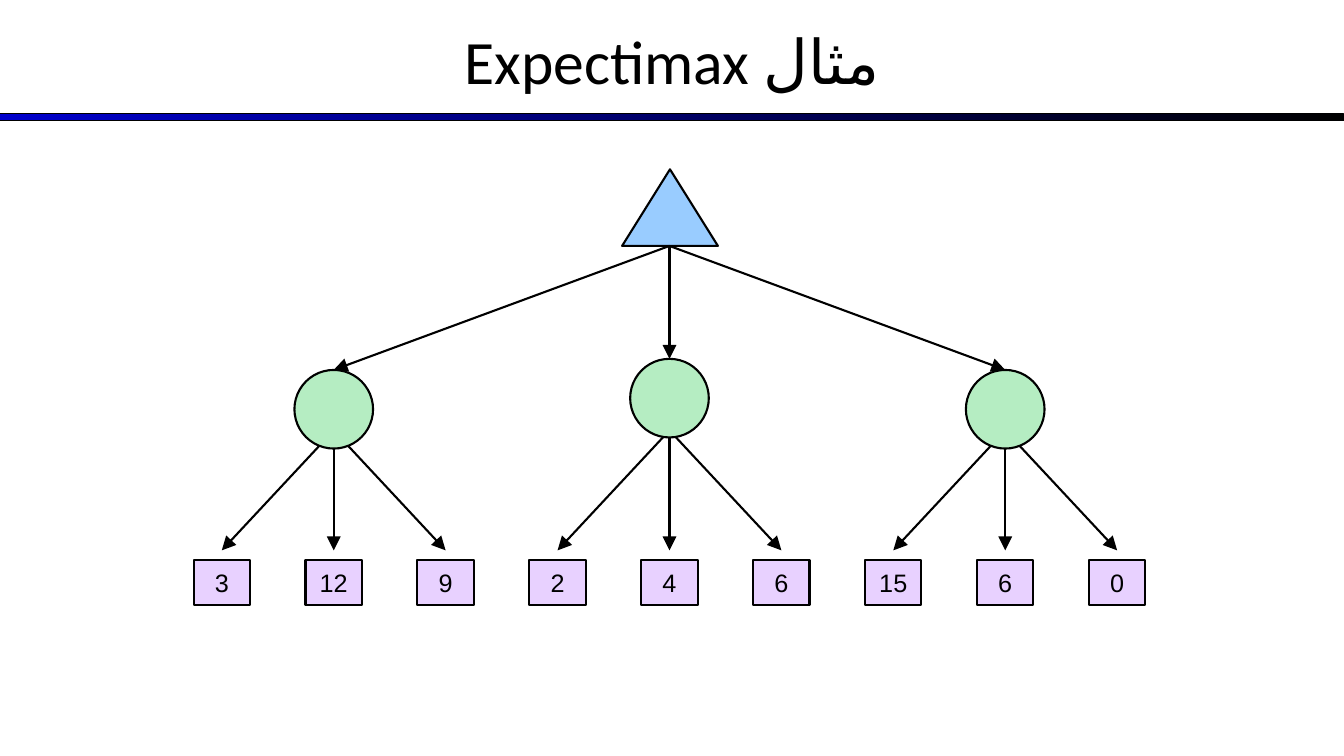
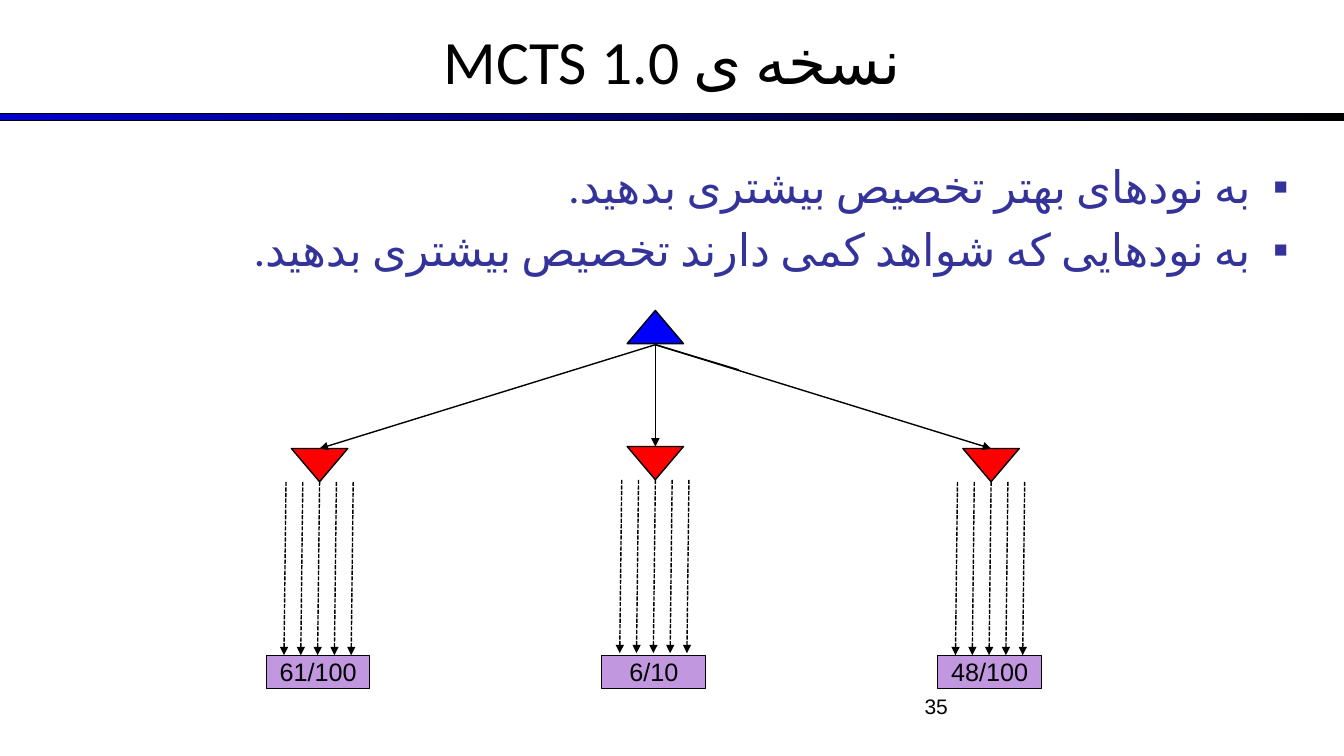
from lxml import etree
from pptx import Presentation
from pptx.dml.color import RGBColor
from pptx.enum import dml, shapes, text
from pptx.oxml import ns
from pptx.util import Inches, Pt

COLORS = {
    "black": "000000",
    "band": "0000CC",
    "body": "333399",
    "max_node": "99CCFF",
    "chance_node": "B5EDC2",
    "leaf": "E8D1FF",
    "root": "0000FF",
    "min_node": "FF0000",
    "score": "C198E0",
}
PRESET = shapes.MSO_SHAPE
ALIGN = text.PP_ALIGN
BRANCH_GAP = 3.33


def rgb(name):
    """Return the named palette colour."""
    return RGBColor.from_string(COLORS[name])


def add_xml(parent, tag, **attributes):
    """Append a DrawingML element to a parent."""
    return etree.SubElement(parent, ns.qn(tag), attributes)


def style_paragraph(paragraph, size, font="Arial", color="black", align=ALIGN.CENTER):
    """Set the alignment and font of a paragraph."""
    paragraph.alignment = align
    paragraph.font.size = Pt(size)
    paragraph.font.name = font
    paragraph.font.color.rgb = rgb(color)


def style_rtl(paragraph, size, color, align):
    """Style a right-to-left Persian paragraph."""
    paragraph._p.get_or_add_pPr().set("rtl", "1")
    style_paragraph(paragraph, size, "Calibri", color, align)
    for run in paragraph.runs:
        properties = run._r.get_or_add_rPr()
        properties.set("lang", "fa-IR")
        add_xml(properties, "a:cs", typeface="Calibri")


def add_node(slide, preset, left, top, width, height, color, line=1.5, label="", flip=False):
    """Draw an outlined shape with an optional centred label."""
    shape = slide.shapes.add_shape(
        preset, Inches(left), Inches(top), Inches(width), Inches(height))
    shape.shadow.inherit = False
    shape.fill.solid()
    shape.fill.fore_color.rgb = rgb(color)
    shape.line.color.rgb = rgb("black")
    shape.line.width = Pt(line)
    if flip:
        shape._element.spPr.xfrm.set("flipV", "1")
    if label:
        frame = shape.text_frame
        frame.word_wrap = False
        frame.vertical_anchor = text.MSO_ANCHOR.MIDDLE
        frame.text = label
        style_paragraph(frame.paragraphs[0], 18)
    return shape


def add_edge(slide, start, end, width=1.5, arrow="med", dashed=False):
    """Draw a straight edge, with an arrowhead of the given size if any."""
    connector = slide.shapes.add_connector(
        shapes.MSO_CONNECTOR.STRAIGHT, *(Inches(value) for value in (*start, *end)))
    connector.line.color.rgb = rgb("black")
    connector.line.width = Pt(width)
    if dashed:
        connector.line.dash_style = dml.MSO_LINE.SQUARE_DOT
    if arrow:
        add_xml(connector.line._get_or_add_ln(), "a:tailEnd",
                type="triangle", w=arrow, len=arrow)
    add_xml(connector._element.spPr, "a:effectLst")


def add_text_box(slide, left, top, width, height, lines):
    """Place a wrapping text box holding one paragraph per line."""
    box = slide.shapes.add_textbox(
        Inches(left), Inches(top), Inches(width), Inches(height))
    frame = box.text_frame
    frame.word_wrap = True
    frame.text = "\n".join(lines)
    return frame


def add_titled_slide(presentation, title):
    """Add a slide with the gradient band and a centred title."""
    slide = presentation.slides.add_slide(presentation.slide_layouts[6])
    band = add_node(slide, PRESET.RECTANGLE, 0, 1.13, 13.33, 0.07, "band", 0.75)
    band.fill.gradient()
    band.fill.gradient_angle = 0
    for stop, color in zip(band.fill.gradient_stops, ("band", "black")):
        stop.color.rgb = rgb(color)
    frame = add_text_box(slide, 0, -0.03, 13.33, 1.25, [title])
    frame.vertical_anchor = text.MSO_ANCHOR.MIDDLE
    style_rtl(frame.paragraphs[0], 44, "black", ALIGN.CENTER)
    return slide


def add_bullets(slide, left, top, width, height, lines):
    """Place a right-to-left bulleted list."""
    frame = add_text_box(slide, left, top, width, height, lines)
    for index, paragraph in enumerate(frame.paragraphs):
        properties = paragraph._p.get_or_add_pPr()
        properties.set("marL", str(Inches(0.37)))
        properties.set("indent", str(Inches(-0.37)))
        if index:
            paragraph.space_before = Pt(6.4)
        add_xml(add_xml(properties, "a:buClr"), "a:srgbClr", val=COLORS["body"])
        add_xml(properties, "a:buFont", typeface="Arial")
        add_xml(properties, "a:buChar", char="▪")
        style_rtl(paragraph, 32, "body", ALIGN.RIGHT)


def add_expectimax_tree(slide, center, top, groups):
    """Draw a max root, its chance nodes and their leaf values."""
    root = (center, top + 0.76)
    add_node(slide, PRESET.ISOSCELES_TRIANGLE, center - 0.47, top, 0.95, 0.76, "max_node")
    for branch, values in enumerate(groups, -1):
        x = center + branch * BRANCH_GAP
        node_top = top + (1.99 if branch else 1.88)
        add_edge(slide, root, (x, node_top), arrow="lg")
        for position, value in enumerate(values, -1):
            leaf = x + position * 1.11
            add_edge(slide, (x, top + 2.59), (leaf, top + 3.78), arrow="lg")
            add_node(slide, PRESET.RECTANGLE, leaf - 0.28, top + 3.88, 0.56, 0.44,
                     "leaf", label=value)
        add_node(slide, PRESET.OVAL, x - 0.39, node_top, 0.78, 0.78, "chance_node")


def add_rollout_tree(slide, center, top, scores):
    """Draw a root, its min nodes, dashed rollouts and score boxes."""
    root = (center, top + 0.34)
    add_node(slide, PRESET.ISOSCELES_TRIANGLE, center - 0.28, top, 0.56, 0.33, "root", 1)
    for branch, score in enumerate(scores, -1):
        x = center + branch * BRANCH_GAP
        node_top = top + (1.37 if branch else 1.35)
        add_node(slide, PRESET.ISOSCELES_TRIANGLE, x - 0.28, node_top, 0.56, 0.33,
                 "min_node", 1, flip=True)
        add_edge(slide, root, (x, node_top), 1)
        add_node(slide, PRESET.RECTANGLE, x - 0.53, top + 3.42, 1.03, 0.33,
                 "score", 0.75, score)
        for rollout in range(-2, 3):
            start = x + rollout / 6
            add_edge(slide, (start, node_top + 0.33), (start - 0.02, node_top + 2.05),
                     1, dashed=True)
    for end in ((center, top + 0.67), (center + 0.83, top + 0.59)):
        add_edge(slide, root, end, 1, arrow=None)


def add_page_number(slide, left, top, width, height, number):
    """Place the right-aligned page number."""
    frame = add_text_box(slide, left, top, width, height, [number])
    style_paragraph(frame.paragraphs[0], 15, align=ALIGN.RIGHT)


def main():
    """Build and save the presentation."""
    presentation = Presentation()
    presentation.slide_width = Inches(13.33)
    presentation.slide_height = Inches(7.5)

    slide = add_titled_slide(presentation, "مثال Expectimax")
    add_expectimax_tree(slide, 6.64, 1.68,
                        [("3", "12", "9"), ("2", "4", "6"), ("15", "6", "0")])

    slide = add_titled_slide(presentation, "نسخه ی 1.0 MCTS")
    add_bullets(slide, 0.44, 1.53, 12.44, 1.39, [
        "به نودهای بهتر تخصیص بیشتری بدهید.",
        "به نودهایی که شواهد کمی دارند تخصیص بیشتری بدهید.",
    ])
    add_rollout_tree(slide, 6.5, 3.08, ["61/100", "6/10", "48/100"])
    add_page_number(slide, 7.17, 6.83, 2.33, 0.52, "35")

    presentation.save("out.pptx")


if __name__ == "__main__":
    main()
